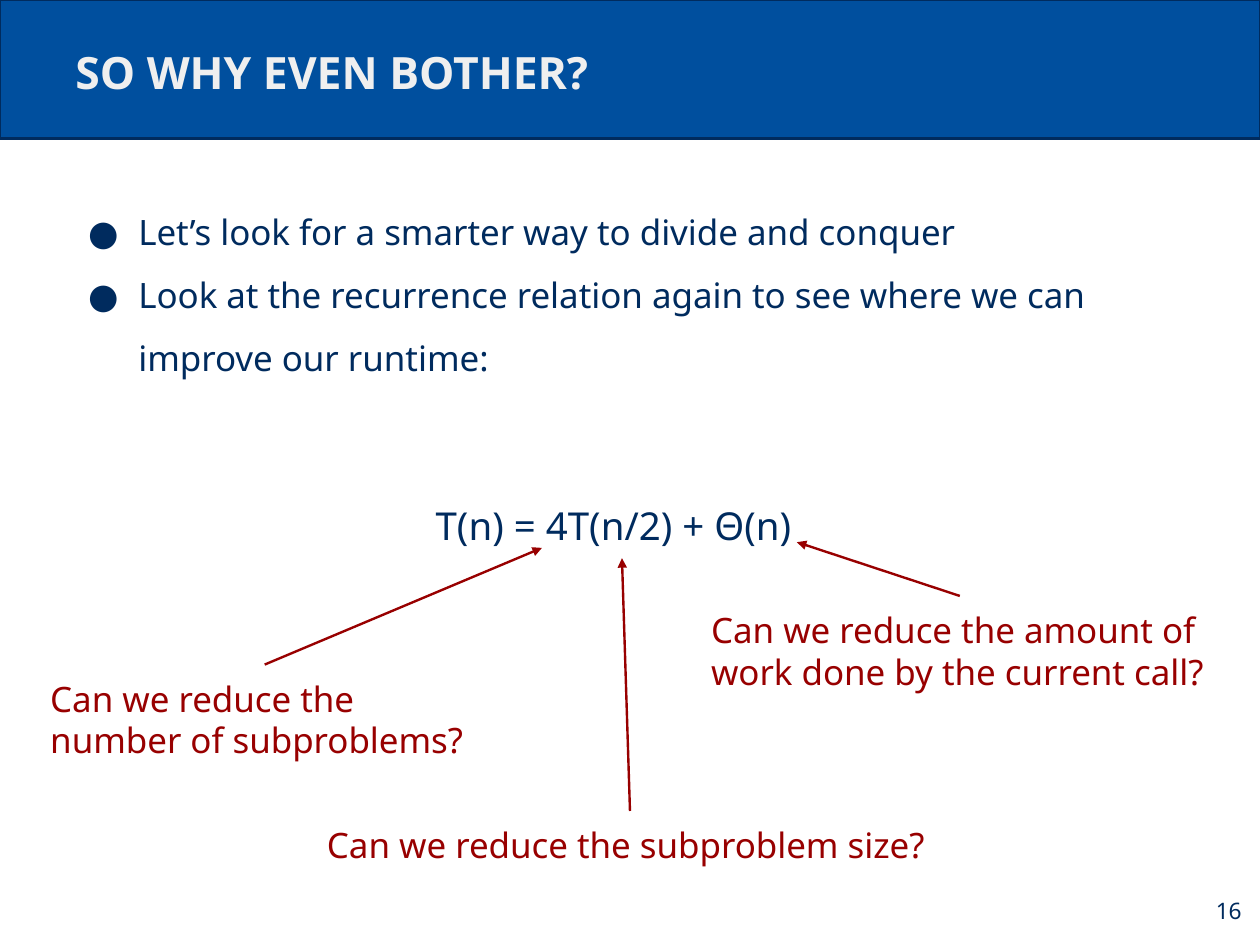
"""Builds a slide that asks how a divide-and-conquer recurrence can be improved."""
from dataclasses import dataclass

from lxml import etree
from pptx import Presentation
from pptx.dml.color import RGBColor
from pptx.enum.shapes import MSO_CONNECTOR, MSO_SHAPE
from pptx.enum.text import MSO_ANCHOR, PP_ALIGN
from pptx.oxml.ns import qn
from pptx.shapes.autoshape import Shape
from pptx.slide import Slide
from pptx.util import Pt

STRAIGHT = MSO_CONNECTOR.STRAIGHT
RECTANGLE = MSO_SHAPE.RECTANGLE
TOP, MIDDLE, BOTTOM = MSO_ANCHOR.TOP, MSO_ANCHOR.MIDDLE, MSO_ANCHOR.BOTTOM
LEFT, RIGHT = PP_ALIGN.LEFT, PP_ALIGN.RIGHT

BLUE = RGBColor(0x00, 0x4F, 0x9E)
NAVY = RGBColor(0x00, 0x2B, 0x5E)
PALE = RGBColor(0xEF, 0xEF, 0xEF)
RED = RGBColor(0x98, 0x00, 0x00)

FONT = "Noto Sans"
SLIDE_WIDTH, SLIDE_HEIGHT = 793.44, 595.44
INSET = 7.9
BODY_SIZE = 22
BODY_SPACE = 6.6
TOP_SITE = 0


@dataclass(frozen=True)
class Box:
    left: float
    top: float
    width: float
    height: float


@dataclass(frozen=True)
class Question:
    wording: str
    box: Box
    target: tuple[float, float]


QUESTIONS = (
    Question("Can we reduce the amount of work done by the current call?",
             Box(439.92, 375.12, 329.04, 82.8), (501.84, 341.28)),
    Question("Can we reduce the subproblem size?",
             Box(198, 510.48, 397.44, 52.56), (391.68, 351.36)),
    Question("Can we reduce the number of subproblems?",
             Box(23.76, 418.32, 285.84, 79.2), (341.28, 344.88)),
)


def add_bullet(properties: etree._Element, color: RGBColor) -> None:
    """Give a paragraph a hanging round bullet."""
    properties.set("marL", str(Pt(39.6)))
    properties.set("indent", str(-Pt(31.7)))
    bullet_color = etree.SubElement(properties, qn("a:buClr"))
    etree.SubElement(bullet_color, qn("a:srgbClr"), val=str(color))
    etree.SubElement(properties, qn("a:buFont"), typeface=FONT)
    etree.SubElement(properties, qn("a:buChar"), char="●")


def add_text(slide: Slide, box: Box, *lines: str, size: float = BODY_SIZE,
             color: RGBColor = NAVY, bold: bool = False,
             anchor: MSO_ANCHOR = TOP, align: PP_ALIGN = LEFT,
             space_before: float = 0, line_spacing: float = 1.0,
             bulleted: bool = False) -> Shape:
    """Add a wrapped text box with one paragraph per line."""
    text_box = slide.shapes.add_textbox(
        Pt(box.left), Pt(box.top), Pt(box.width), Pt(box.height))
    frame = text_box.text_frame
    frame.word_wrap = True
    frame.vertical_anchor = anchor
    frame.margin_left = frame.margin_right = Pt(INSET)
    frame.margin_top = frame.margin_bottom = Pt(INSET)
    for index, line in enumerate(lines):
        paragraph = frame.add_paragraph() if index else frame.paragraphs[0]
        paragraph.alignment = align
        paragraph.line_spacing = line_spacing
        paragraph.space_before = Pt(0 if index else space_before)
        run = paragraph.add_run()
        run.text = line
        run.font.name = FONT
        run.font.size = Pt(size)
        run.font.bold = bold
        run.font.color.rgb = color
        if bulleted:
            add_bullet(paragraph._p.get_or_add_pPr(), color)
    return text_box


def add_banner(slide: Slide) -> None:
    """Draw the blue band behind the title."""
    banner = slide.shapes.add_shape(RECTANGLE, 0, 0, Pt(SLIDE_WIDTH), Pt(87.12))
    banner.shadow.inherit = False
    banner.fill.solid()
    banner.fill.fore_color.rgb = BLUE
    banner.line.color.rgb = NAVY
    banner.line.width = Pt(1.5)


def add_question(slide: Slide, question: Question) -> None:
    """Write a question and point an arrow from it to its term."""
    wording = add_text(slide, question.box, question.wording, color=RED,
                       space_before=BODY_SPACE)
    target_x, target_y = question.target
    arrow = slide.shapes.add_connector(
        STRAIGHT, Pt(question.box.left + question.box.width / 2),
        Pt(question.box.top), Pt(target_x), Pt(target_y))
    arrow.begin_connect(wording, TOP_SITE)
    arrow.line.color.rgb = RED
    arrow.line.width = Pt(1.5)
    etree.SubElement(arrow.line._get_or_add_ln(), qn("a:tailEnd"), type="triangle")
    etree.SubElement(arrow._element.spPr, qn("a:effectLst"))


def main() -> None:
    """Build and save the slide."""
    presentation = Presentation()
    presentation.slide_width = Pt(SLIDE_WIDTH)
    presentation.slide_height = Pt(SLIDE_HEIGHT)
    slide = presentation.slides.add_slide(presentation.slide_layouts[6])
    add_banner(slide)
    add_text(slide, Box(39.6, 111.6, 714.24, 157.68),
             "Let’s look for a smarter way to divide and conquer",
             "Look at the recurrence relation again to see where we can improve our runtime:",
             space_before=BODY_SPACE, line_spacing=1.5, bulleted=True)
    add_text(slide, Box(39.6, 17.28, 714.24, 52.56), "SO WHY EVEN BOTHER?",
             size=28, color=PALE, bold=True, anchor=BOTTOM)
    add_text(slide, Box(266.4, 290.88, 260.64, 79.2), "T(n) = 4T(n/2) + Θ(n)",
             size=24.2, anchor=MIDDLE)
    for question in QUESTIONS:
        add_question(slide, question)
    add_text(slide, Box(742.32, 550.08, 47.52, 45.36), "16",
             size=14.3, anchor=MIDDLE, align=RIGHT)
    presentation.save("out.pptx")


if __name__ == "__main__":
    main()
